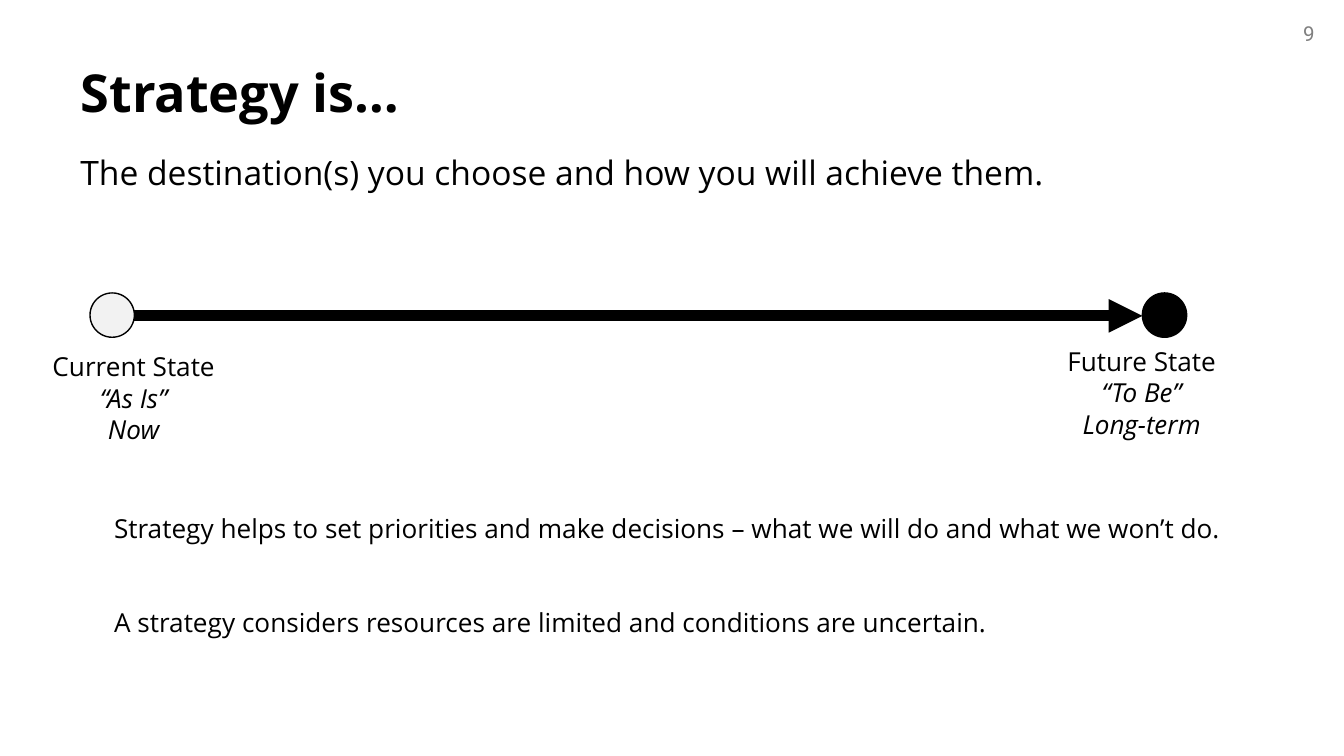
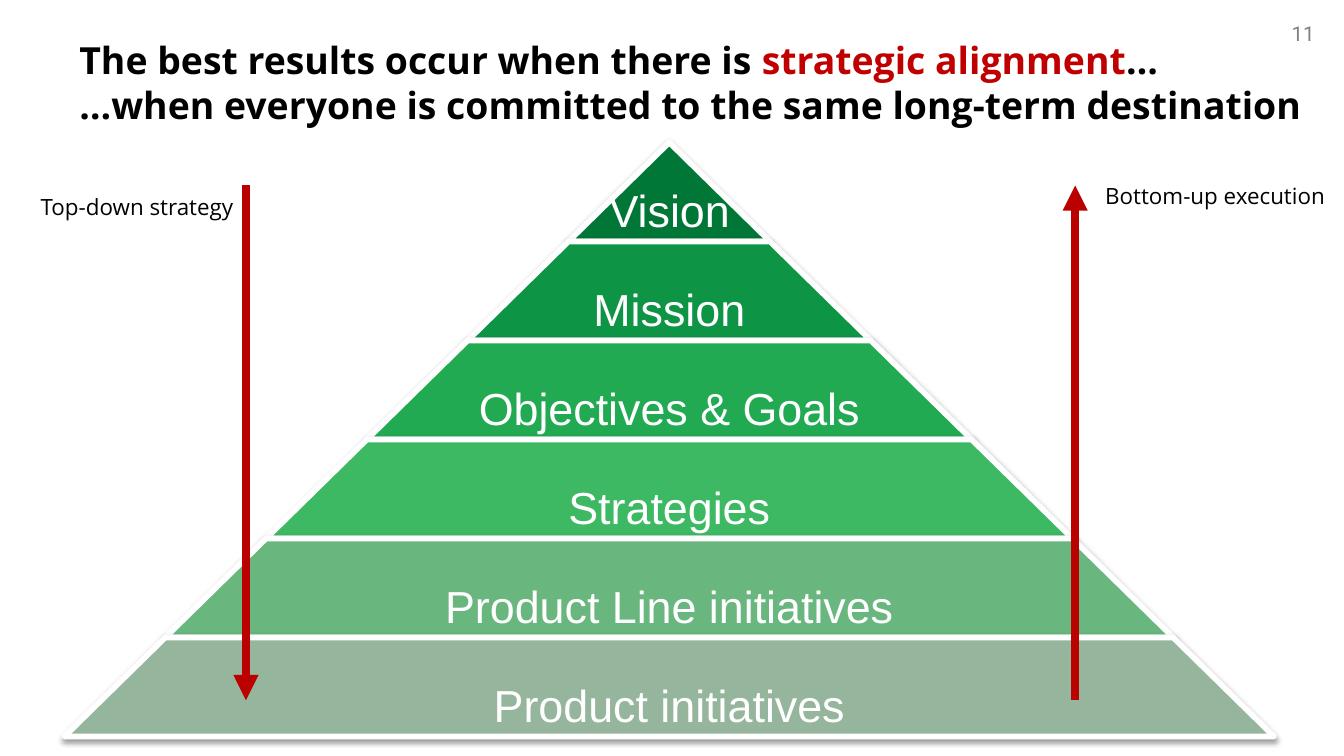
from copy import deepcopy as clone

from lxml import etree
from pptx import Presentation
from pptx.dml.color import RGBColor as Rgb
from pptx.enum.shapes import MSO_CONNECTOR as Link, MSO_SHAPE as Kind
from pptx.enum.text import MSO_ANCHOR as Anchor, PP_ALIGN as Align
from pptx.oxml import parse_xml
from pptx.oxml.ns import nsdecls, qn
from pptx.util import Inches, Pt

HUES = {"ink": "000000", "white": "FFFFFF", "gray": "808080", "pale": "F2F2F2",
        "red": "C00000", "arrow": "BB0000"}
TIERS = [("Vision", "007736"), ("Mission", "0D9445"),
         ("Objectives & Goals", "22AA53"), ("Strategies", "3DB964"),
         ("Product Line initiatives", "6AB67F"), ("Product initiatives", "95B59C")]
SHADE = f"""<a:effectLst {nsdecls('a')}>
<a:outerShdw blurRad="39400" dist="20300" dir="5400000" rotWithShape="0">
<a:srgbClr val="000000"><a:alpha val="38000"/></a:srgbClr>
</a:outerShdw></a:effectLst>"""


def write(frame, text, size, hue="ink", font="Open Sans", bold=False,
          italic=False, align=Align.LEFT, space=1, before=0, more=False):
    """Add text as a new paragraph, or to the last one if more is set."""
    par = frame.paragraphs[-1]
    if par.runs and not more:
        par = frame.add_paragraph()
    par.alignment = align
    par.line_spacing = space
    par.space_before = Pt(before)
    for row, part in enumerate(text.split("\n")):
        if row:
            # The break takes the format of the run before it
            par.add_line_break()
            par._p[-1].append(clone(run.font._element))
        run = par.add_run()
        run.text = part
        run.font.size = Pt(size)
        run.font.name = font
        run.font.bold = bold
        run.font.italic = italic
        run.font.color.rgb = Rgb.from_string(HUES[hue])


def box(slide, x, y, w, h):
    """Add a wrapping text box and return its frame."""
    frame = slide.shapes.add_textbox(Inches(x), Inches(y), Inches(w), Inches(h)).text_frame
    frame.word_wrap = True
    return frame


deck = Presentation()
deck.slide_width = Inches(10)
deck.slide_height = deck.slide_width * 9 // 16

# Slides with page number and title frame
slides, heads = [], []
for page, x, y, w in [("9", 0.5, 0.4, 9), ("11", 0.49, 0.23, 9.41)]:
    slide = deck.slides.add_slide(deck.slide_layouts[5])
    write(box(slide, 9.33, 0.11, 0.55, 0.29), page, 11, hue="gray",
          font="Roboto", align=Align.RIGHT)
    title = slide.shapes.title
    title.left, title.top = Inches(x), Inches(y)
    title.width, title.height = Inches(w), Inches(0.67)
    head = title.text_frame
    head.vertical_anchor = Anchor.TOP
    slides.append(slide)
    heads.append(head)
road, peak = slides

# Strategy: title and lead
write(heads[0], "Strategy is…", 28, bold=True)
write(box(road, 0.5, 1.08, 9, 0.5),
      "The destination(s) you choose and how you will achieve them.", 18)

# Strategy: the two states
for x, hue, left, top, lines in [
        (0.67, "pale", 0.08, 2.56, ("Current State", "“As Is”", "Now")),
        (8.5, "ink", 7.58, 2.52, ("Future State", "“To Be”", "Long-term"))]:
    dot = road.shapes.add_shape(Kind.OVAL, Inches(x), Inches(2.18),
                                Inches(0.33), Inches(0.33))
    dot.shadow.inherit = False
    dot.fill.solid()
    dot.fill.fore_color.rgb = Rgb.from_string(HUES[hue])
    dot.line.color.rgb = Rgb.from_string(HUES["ink"])
    dot.line.width = Pt(0.75)
    state = box(road, left, top, 1.83, 0.81)
    for row, line in enumerate(lines):
        write(state, line, 14, italic=row > 0, align=Align.CENTER)

# Strategy: remarks
notes = box(road, 0.75, 3.53, 8.58, 1.51)
notes.margin_top = Inches(0.28)
write(notes, "Strategy helps to set priorities and make decisions – "
      "what we will do and what we won’t do.", 14)
write(notes, "A strategy considers resources are limited and conditions are uncertain.",
      14, before=34)

# Alignment: title
write(heads[1], "The best results occur when there is ", 20, bold=True)
write(heads[1], "strategic alignment", 20, hue="red", bold=True, more=True)
write(heads[1], "…\n…when everyone is committed to the same long-term destination",
      20, bold=True, more=True)

# Alignment: pyramid, each tier wider by the same step
mid, top, step, high = 4.98, 1.06, 1.5, 4.42 / len(TIERS)
stack = peak.shapes.add_group_shape()
for row, (name, hue) in enumerate(TIERS):
    wide = step * (row + 1)
    tier = stack.shapes.add_shape(Kind.TRAPEZOID, Inches(mid - wide / 2),
                                  Inches(top + row * high), Inches(wide), Inches(high))
    tier.adjustments[0] = 1.019
    tier.fill.solid()
    tier.fill.fore_color.rgb = Rgb.from_string(hue)
    tier.line.color.rgb = Rgb.from_string(HUES["white"])
    tier.line.width = Pt(3)
    tier._element.spPr.append(parse_xml(SHADE))
    frame = tier.text_frame
    frame.word_wrap = False
    frame.vertical_anchor = Anchor.BOTTOM
    frame.margin_left = frame.margin_right = Inches(0.03)
    frame.margin_top = frame.margin_bottom = Inches(0.03)
    write(frame, name, 24, hue="white", font="Arial", align=Align.CENTER, space=0.9)

# Alignment: side labels
for x, y, text in [(-0.25, 1.39, "Top-down strategy"),
                   (7.75, 1.31, " Bottom-up execution")]:
    write(box(peak, x, y, 2.54, 0.3), text, 12, align=Align.CENTER)

# Arrows on both slides
for slide, x1, y1, x2, y2, hue, thick in [
        (road, 1, 2.35, 8.5, 2.35, "ink", 6),
        (peak, 1.83, 1.38, 1.83, 5.21, "arrow", 4.5),
        (peak, 8, 5.21, 8, 1.38, "arrow", 4.5)]:
    arrow = slide.shapes.add_connector(Link.STRAIGHT, Inches(x1), Inches(y1),
                                       Inches(x2), Inches(y2))
    arrow.line.color.rgb = Rgb.from_string(HUES[hue])
    arrow.line.width = Pt(thick)
    etree.SubElement(arrow.line._get_or_add_ln(), qn("a:tailEnd"), type="triangle")
    etree.SubElement(arrow._element.spPr, qn("a:effectLst"))

deck.save("out.pptx")
